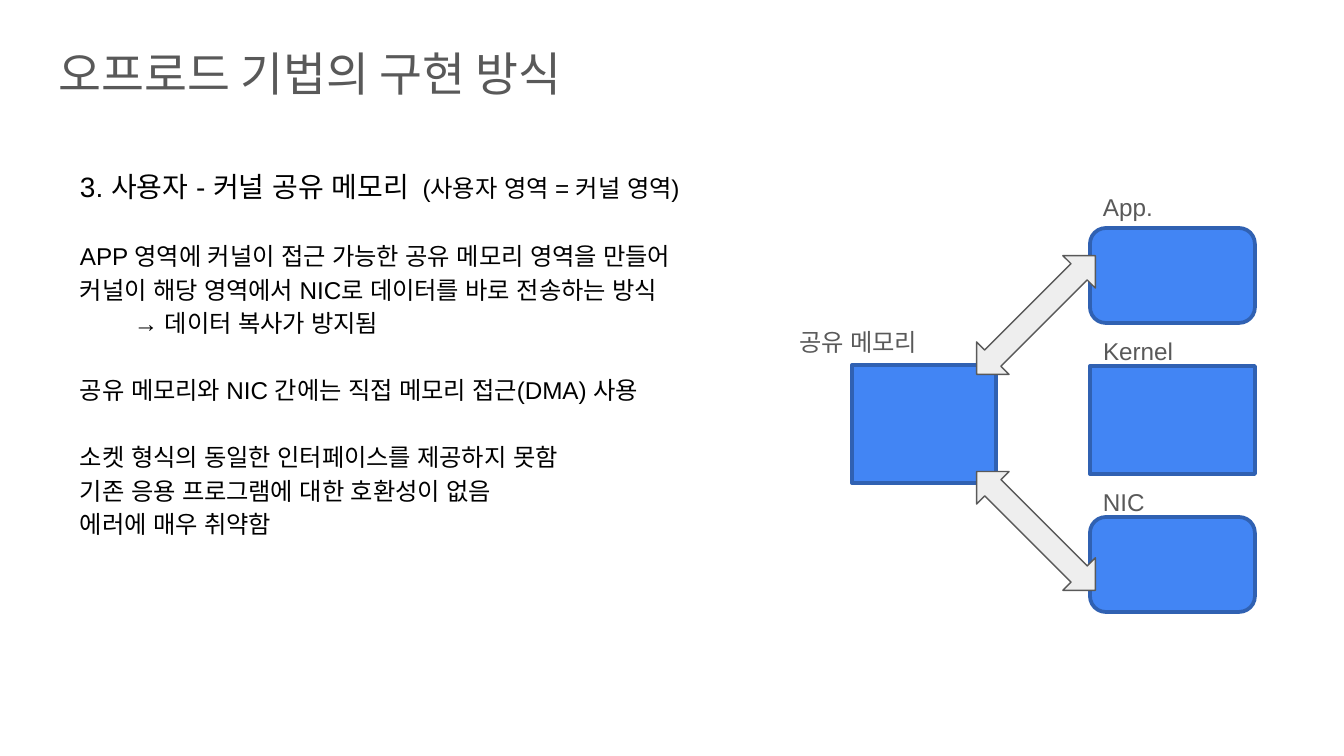
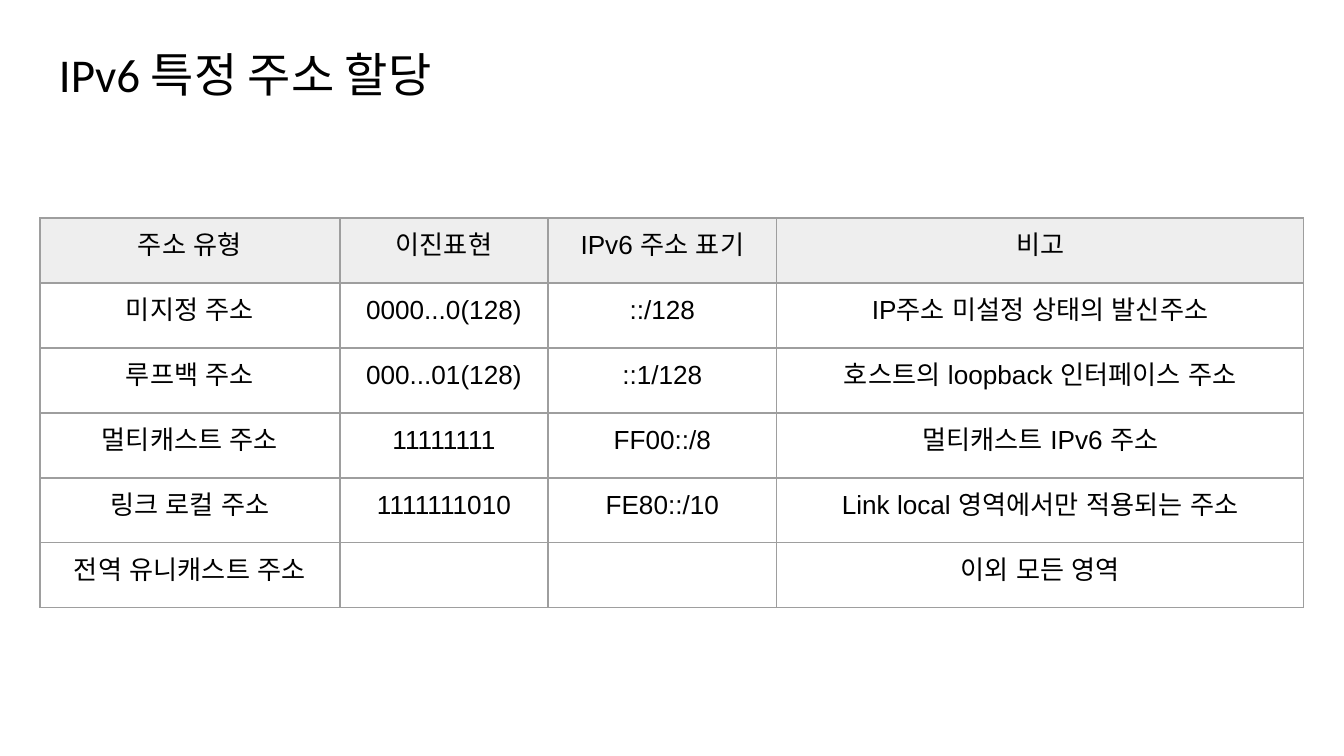
from lxml import etree
from pptx import Presentation
from pptx import util as u
from pptx.dml.color import RGBColor
from pptx.enum import shapes, text
from pptx.oxml.ns import qn

SCALE = 914400 / 134.4
WIDE, HIGH = 1344, 756
PAD = 13
HEX = {
    "ink": "000000",
    "gray": "595959",
    "blue": "4285F4",
    "navy": "3061B2",
    "pale": "EEEEEE",
    "rule": "9E9E9E",
}
BODY, HEAD = "Arial", "Calibri"
KIND, ALIGN = shapes.MSO_SHAPE, text.PP_ALIGN

# Text, left indent in px, space before in points
NOTES = [
    ("APP 영역에 커널이 접근 가능한 공유 메모리 영역을 만들어", 17, 18),
    ("커널이 해당 영역에서 NIC로 데이터를 바로 전송하는 방식", 17, 0),
    ("→ 데이터 복사가 방지됨", 71, 0),
    ("공유 메모리와 NIC 간에는 직접 메모리 접근(DMA) 사용", 17, 18),
    ("소켓 형식의 동일한 인터페이스를 제공하지 못함", 17, 18),
    ("기존 응용 프로그램에 대한 호환성이 없음", 17, 0),
    ("에러에 매우 취약함", 17, 0),
]
# Name, shape, box top and height, label top and width
LAYERS = [
    ("App.", KIND.ROUNDED_RECTANGLE, 43, 95, 0, 82),
    ("Kernel", KIND.RECTANGLE, 181, 108, 144, 104),
    ("NIC", KIND.ROUNDED_RECTANGLE, 332, 95, 295, 73),
]
COLS = [300, 208, 229, 527]
ROWS = [
    ["주소 유형", "이진표현", "IPv6 주소 표기", "비고"],
    ["미지정 주소", "0000...0(128)", "::/128", "IP주소 미설정 상태의 발신주소"],
    ["루프백 주소", "000...01(128)", "::1/128", "호스트의 loopback 인터페이스 주소"],
    ["멀티캐스트 주소", "11111111", "FF00::/8", "멀티캐스트 IPv6 주소"],
    ["링크 로컬 주소", "1111111010", "FE80::/10", "Link local 영역에서만 적용되는 주소"],
    ["전역 유니캐스트 주소", "", "", "이외 모든 영역"],
]


def px(n):
    return u.Emu(round(n * SCALE))


def tint(name):
    return RGBColor.from_string(HEX[name])


def add_run(para, words, size, color="ink", font=BODY):
    run = para.add_run()
    run.text = words
    run.font.size = u.Pt(size)
    run.font.name = font
    run.font.color.rgb = tint(color)
    for script in ("a:ea", "a:cs"):
        etree.SubElement(run._r.rPr, qn(script), typeface=font)


def add_text(parts, box, inset=PAD, wrap=True):
    """Add an empty text box and return its frame."""
    frame = parts.add_textbox(*map(px, box)).text_frame
    frame.word_wrap = wrap
    frame.margin_left = frame.margin_right = px(PAD)
    frame.margin_top = frame.margin_bottom = px(inset)
    return frame


def add_label(parts, box, words, align=ALIGN.LEFT):
    para = add_text(parts, box, 7, False).paragraphs[0]
    para.alignment = align
    add_run(para, words, 13, "gray")


def add_block(parts, kind, box, fill="blue", line="navy", width=2):
    block = parts.add_shape(kind, *map(px, box))
    block.shadow.inherit = False
    block.fill.solid()
    block.fill.fore_color.rgb = tint(fill)
    block.line.color.rgb = tint(line)
    block.line.width = u.Pt(width)
    return block


def add_title(slide, words, size, color):
    para = add_text(slide.shapes, (46, 32, 1252, 85)).paragraphs[0]
    add_run(para, words, size, color, HEAD)


def add_notes(slide, box):
    frame = add_text(slide.shapes, box)
    para = frame.paragraphs[0]
    add_run(para, "3. 사용자 - 커널 공유 메모리", 15)
    add_run(para, "\t (사용자 영역 = 커널 영역)", 13)
    set_para(para, 17, 0)
    for words, indent, gap in NOTES:
        para = frame.add_paragraph()
        add_run(para, words, 13)
        set_para(para, indent, gap)


def set_para(para, indent, gap):
    para.line_spacing = 1.15
    para.space_before = u.Pt(gap)
    props = para._p.get_or_add_pPr()
    props.set("marL", str(px(indent)))
    props.set("indent", "0")


def add_flow(slide, left, top):
    """Draw shared memory linked to the application and the NIC."""
    parts = slide.shapes.add_group_shape().shapes
    side = left + 327
    for name, kind, drop, high, label, wide in LAYERS:
        add_block(parts, kind, (side, top + drop, 165, high))
        add_label(parts, (side, top + label, wide, 43), name)
    add_block(parts, KIND.RECTANGLE, (left + 89, top + 180, 144, 118))
    add_label(parts, (left, top + 135, 167, 43), "공유 메모리", ALIGN.RIGHT)
    for drop, turn in ((323, 45), (107, 315)):
        box = (left + 189, top + drop, 168, 46)
        arrow = add_block(parts, KIND.LEFT_RIGHT_ARROW, box, "pale", "gray", 0.75)
        arrow.rotation = turn


def add_edges(cell):
    props = cell._tc.get_or_add_tcPr()
    for edge in ("lnL", "lnR", "lnT", "lnB"):
        line = etree.SubElement(props, qn("a:" + edge), w=str(u.Pt(0.75)))
        fill = etree.SubElement(line, qn("a:solidFill"))
        etree.SubElement(fill, qn("a:srgbClr"), val=HEX["rule"])


def add_grid(slide, left, top, high):
    box = (left, top, sum(COLS), high * len(ROWS))
    grid = slide.shapes.add_table(len(ROWS), len(COLS), *map(px, box)).table
    grid.first_row = grid.horz_banding = False
    for col, wide in zip(grid.columns, COLS):
        col.width = px(wide)
    for r, row in enumerate(ROWS):
        grid.rows[r].height = px(high)
        for c, words in enumerate(row):
            fill_cell(grid.cell(r, c), words, r == 0)


def fill_cell(cell, words, head):
    cell.margin_left = cell.margin_right = px(PAD)
    cell.margin_top = cell.margin_bottom = px(PAD)
    add_edges(cell)
    if head:
        cell.fill.solid()
        cell.fill.fore_color.rgb = tint("pale")
    else:
        cell.fill.background()
    para = cell.text_frame.paragraphs[0]
    para.alignment = ALIGN.CENTER
    if words:
        add_run(para, words, 14)
    else:
        etree.SubElement(para._p, qn("a:endParaRPr"), sz="1400")


def main():
    deck = Presentation()
    deck.slide_width, deck.slide_height = px(WIDE), px(HIGH)
    blank = deck.slide_layouts[6]

    slide = deck.slides.add_slide(blank)
    add_notes(slide, (50, 152, 1259, 449))
    add_title(slide, "오프로드 기법의 구현 방식", 25, "gray")
    add_flow(slide, 763, 185)

    slide = deck.slides.add_slide(blank)
    add_grid(slide, 40, 218, 65)
    add_title(slide, "IPv6 특정 주소 할당", 25.2, "ink")

    deck.save("out.pptx")


if __name__ == "__main__":
    main()
